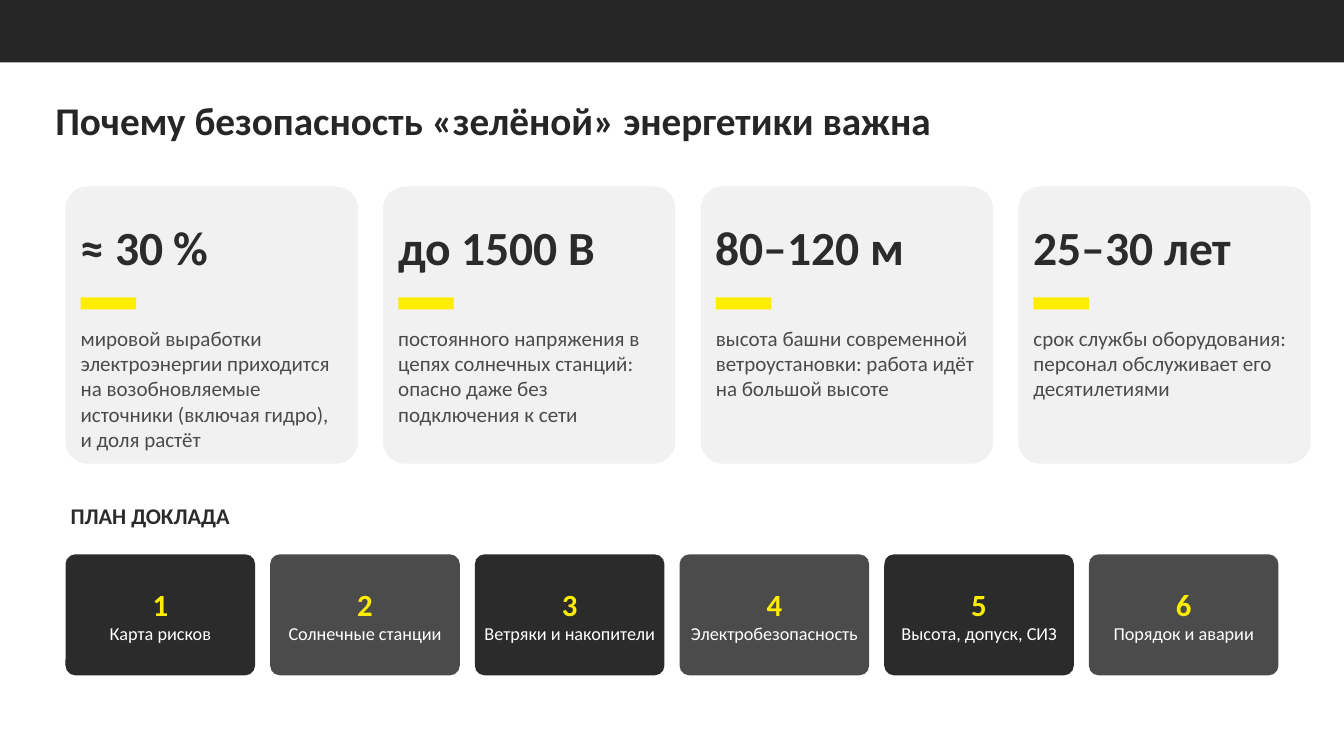
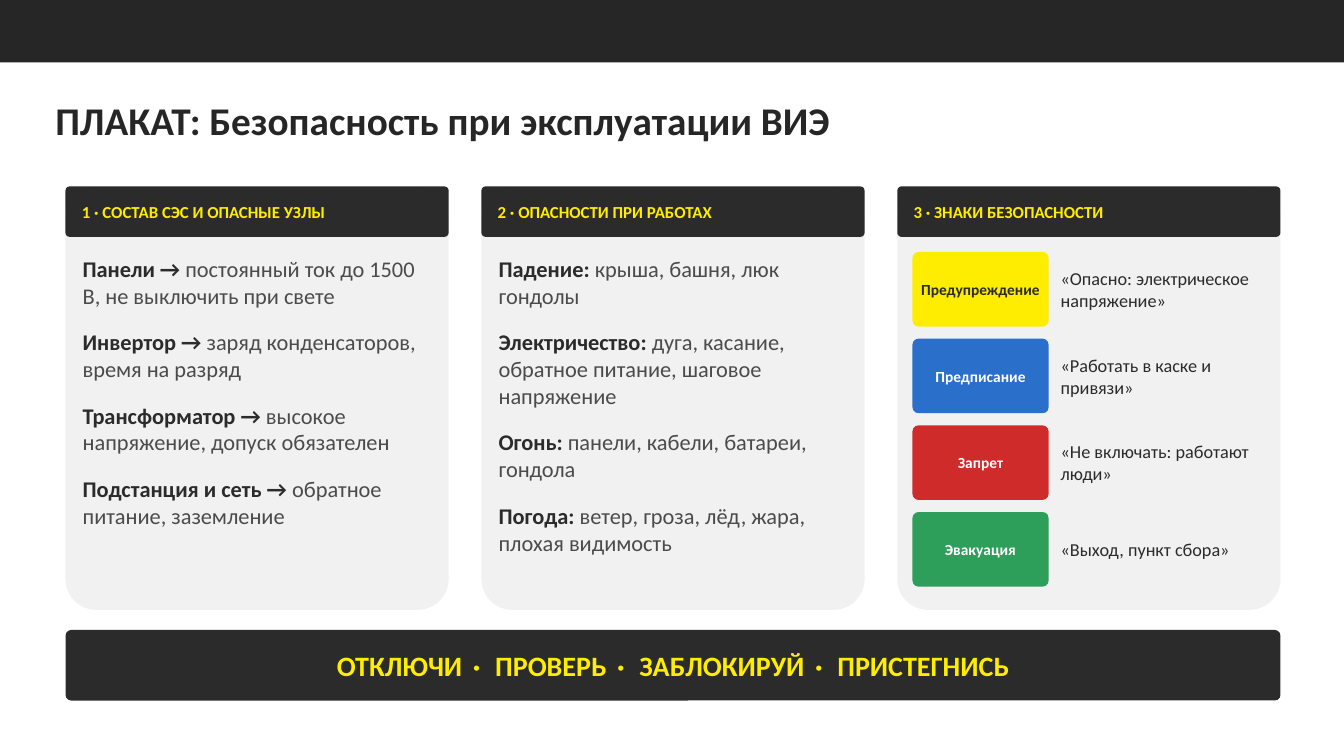
from collections.abc import Sequence
from dataclasses import dataclass

from pptx import Presentation
from pptx.dml.color import RGBColor
from pptx.enum.shapes import MSO_SHAPE
from pptx.enum.text import MSO_ANCHOR, PP_ALIGN
from pptx.presentation import Presentation as Deck
from pptx.shapes.autoshape import Shape
from pptx.slide import Slide
from pptx.util import Inches, Pt

FONT = "Calibri"
BAND = RGBColor(0x26, 0x26, 0x26)
DARK = RGBColor(0x2B, 0x2B, 0x2B)
GREY = RGBColor(0x4B, 0x4B, 0x4B)
PALE = RGBColor(0xF1, 0xF1, 0xF1)
WHITE = RGBColor(0xFF, 0xFF, 0xFF)
YELLOW = RGBColor(0xFF, 0xED, 0x00)
BLUE = RGBColor(0x2A, 0x6F, 0xC9)
RED = RGBColor(0xD0, 0x2B, 0x2B)
GREEN = RGBColor(0x2E, 0x9E, 0x5B)

SLIDE_WIDTH, SLIDE_HEIGHT = 13.33, 7.5
LEFT, TOP = 0.65, 1.85
CONTENT_WIDTH = 12.05
CENTERED = {"alignment": PP_ALIGN.CENTER}


@dataclass(frozen=True)
class Box:
    left: float
    top: float
    width: float
    height: float


@dataclass(frozen=True)
class Style:
    size: float
    color: RGBColor
    bold: bool = False


@dataclass(frozen=True)
class Span:
    text: str
    style: Style
    tracking: float = 0


@dataclass(frozen=True)
class Fact:
    figure: str
    meaning: str


@dataclass(frozen=True)
class Point:
    lead: str
    detail: str


@dataclass(frozen=True)
class Panel:
    heading: str
    points: tuple[Point, ...] = ()


@dataclass(frozen=True)
class Sign:
    kind: str
    message: str
    fill: RGBColor
    color: RGBColor = WHITE


TITLE = Style(28, BAND, True)
FIGURE = Style(34, DARK, True)
MEANING = Style(15, GREY)
SECTION = Style(16, DARK, True)
STEP_NUMBER = Style(22, YELLOW, True)
STEP_NAME = Style(13, WHITE)
PANEL_HEADING = Style(12, YELLOW, True)
POINT_LEAD = Style(16, DARK, True)
POINT_DETAIL = Style(16, GREY)
SIGN_MESSAGE = Style(13, DARK)
SLOGAN = Style(20, YELLOW, True)

FACTS = (
    Fact("≈ 30 %", "мировой выработки электроэнергии приходится на возобновляемые "
         "источники (включая гидро), и доля растёт"),
    Fact("до 1500 В", "постоянного напряжения в цепях солнечных станций: опасно даже "
         "без подключения к сети"),
    Fact("80–120 м", "высота башни современной ветроустановки: работа идёт "
         "на большой высоте"),
    Fact("25–30 лет", "срок службы оборудования: персонал обслуживает его десятилетиями"),
)
STEPS = ("Карта рисков", "Солнечные станции", "Ветряки и накопители",
         "Электробезопасность", "Высота, допуск, СИЗ", "Порядок и аварии")
PANELS = (
    Panel("1 · СОСТАВ СЭС И ОПАСНЫЕ УЗЛЫ", (
        Point("Панели → ", "постоянный ток до 1500 В, не выключить при свете"),
        Point("Инвертор → ", "заряд конденсаторов, время на разряд"),
        Point("Трансформатор → ", "высокое напряжение, допуск обязателен"),
        Point("Подстанция и сеть → ", "обратное питание, заземление"),
    )),
    Panel("2 · ОПАСНОСТИ ПРИ РАБОТАХ", (
        Point("Падение: ", "крыша, башня, люк гондолы"),
        Point("Электричество: ", "дуга, касание, обратное питание, шаговое напряжение"),
        Point("Огонь: ", "панели, кабели, батареи, гондола"),
        Point("Погода: ", "ветер, гроза, лёд, жара, плохая видимость"),
    )),
    Panel("3 · ЗНАКИ БЕЗОПАСНОСТИ"),
)
SIGNS = (
    Sign("Предупреждение", "«Опасно: электрическое напряжение»", YELLOW, DARK),
    Sign("Предписание", "«Работать в каске и привязи»", BLUE),
    Sign("Запрет", "«Не включать: работают люди»", RED),
    Sign("Эвакуация", "«Выход, пункт сбора»", GREEN),
)
COMMANDS = ("ОТКЛЮЧИ", "ПРОВЕРЬ", "ЗАБЛОКИРУЙ", "ПРИСТЕГНИСЬ")


def set_attributes(target: object, values: dict) -> None:
    for name, value in values.items():
        setattr(target, name, value)


def write(shape: Shape, lines: Sequence[Sequence[Span]], side: float, edge: float = 0.03,
          anchor: MSO_ANCHOR = MSO_ANCHOR.MIDDLE, layout: dict | None = None) -> None:
    """Fill a shape with one paragraph per line; side and edge are its insets."""
    frame = shape.text_frame
    set_attributes(frame, {
        "word_wrap": True, "vertical_anchor": anchor,
        "margin_left": Inches(side), "margin_right": Inches(side),
        "margin_top": Inches(edge), "margin_bottom": Inches(edge),
    })
    for index, line in enumerate(lines):
        paragraph = frame.add_paragraph() if index else frame.paragraphs[0]
        set_attributes(paragraph, {"alignment": PP_ALIGN.LEFT} | (layout or {}))
        for span in line:
            run = paragraph.add_run()
            run.text = span.text
            set_attributes(run.font, {"name": FONT, "size": Pt(span.style.size),
                                      "bold": span.style.bold})
            run.font.color.rgb = span.style.color
            if span.tracking:
                run.font._element.set("spc", str(round(span.tracking * 100)))


def inches(box: Box) -> tuple[Inches, ...]:
    return tuple(Inches(v) for v in (box.left, box.top, box.width, box.height))


def add_block(slide: Slide, box: Box, fill: RGBColor, rounded: bool = True) -> Shape:
    kind = MSO_SHAPE.ROUNDED_RECTANGLE if rounded else MSO_SHAPE.RECTANGLE
    block = slide.shapes.add_shape(kind, *inches(box))
    if rounded:
        block.adjustments[0] = 0.08
    block.shadow.inherit = False
    block.fill.solid()
    block.fill.fore_color.rgb = fill
    block.line.fill.background()
    return block


def add_label(slide: Slide, box: Box, lines: Sequence[Sequence[Span]],
              side: float = 0.05, **options) -> None:
    write(slide.shapes.add_textbox(*inches(box)), lines, side, **options)


def add_titled_slide(deck: Deck, title: str) -> Slide:
    slide = deck.slides.add_slide(deck.slide_layouts[6])
    add_label(slide, Box(0.45, 0.84, 11.5, 0.75), [[Span(title, TITLE)]],
              side=0.1, edge=0.05, layout={"line_spacing": 0.9})
    add_block(slide, Box(0, 0, SLIDE_WIDTH, 0.62), BAND, rounded=False)
    return slide


def add_fact(slide: Slide, left: float, fact: Fact) -> None:
    add_block(slide, Box(left, TOP, 2.9, 2.75), PALE)
    add_label(slide, Box(left + 0.1, 2, 2.7, 0.9), [[Span(fact.figure, FIGURE)]])
    add_block(slide, Box(left + 0.15, 2.95, 0.55, 0.12), YELLOW, rounded=False)
    add_label(slide, Box(left + 0.1, 3.2, 2.7, 1.3), [[Span(fact.meaning, MEANING)]],
              anchor=MSO_ANCHOR.TOP)


def add_step(slide: Slide, index: int, name: str) -> None:
    tile = add_block(slide, Box(LEFT + index * 2.03, 5.5, 1.88, 1.2),
                     GREY if index % 2 else DARK)
    lines = [[Span(str(index + 1), STEP_NUMBER)], [Span(name, STEP_NAME)]]
    write(tile, lines, 0.06, layout=CENTERED)


def add_panel(slide: Slide, left: float, width: float, panel: Panel) -> None:
    add_block(slide, Box(left, TOP, width, 4.2), PALE)
    header = add_block(slide, Box(left, TOP, width, 0.5), DARK)
    write(header, [[Span(panel.heading, PANEL_HEADING)]], 0.15)
    if panel.points:
        lines = [[Span(point.lead, POINT_LEAD), Span(point.detail, POINT_DETAIL)]
                 for point in panel.points]
        add_label(slide, Box(left + 0.15, 2.5, 3.5, 3.4), lines, side=0.02,
                  anchor=MSO_ANCHOR.TOP, layout={"space_after": Pt(14)})


def add_sign(slide: Slide, left: float, top: float, sign: Sign) -> None:
    plate = add_block(slide, Box(left, top, 1.35, 0.74), sign.fill)
    write(plate, [[Span(sign.kind, Style(11, sign.color, True))]], 0.04, layout=CENTERED)
    add_label(slide, Box(left + 1.45, top, 2.05, 0.74),
              [[Span(sign.message, SIGN_MESSAGE)]], side=0.02)


def add_slogan(slide: Slide) -> None:
    """Draw the bottom bar, its commands parted by widely tracked dots."""
    spans = [Span(COMMANDS[0], SLOGAN)]
    for command in COMMANDS[1:]:
        spans += [Span(" · ", SLOGAN, tracking=3), Span(command, SLOGAN)]
    bar = add_block(slide, Box(LEFT, 6.25, CONTENT_WIDTH, 0.7), DARK)
    write(bar, [spans], 0.12, layout=CENTERED)


def build_importance_slide(deck: Deck) -> None:
    slide = add_titled_slide(deck, "Почему безопасность «зелёной» энергетики важна")
    for index, fact in enumerate(FACTS):
        add_fact(slide, LEFT + index * 3.15, fact)
    add_label(slide, Box(LEFT, 4.95, 6, 0.4), [[Span("ПЛАН ДОКЛАДА", SECTION)]],
              anchor=MSO_ANCHOR.TOP)
    for index, name in enumerate(STEPS):
        add_step(slide, index, name)


def build_poster_slide(deck: Deck) -> None:
    slide = add_titled_slide(deck, "ПЛАКАТ: Безопасность при эксплуатации ВИЭ")
    panel_width = 3.8
    pitch = (CONTENT_WIDTH - panel_width) / (len(PANELS) - 1)
    for index, panel in enumerate(PANELS):
        add_panel(slide, LEFT + index * pitch, panel_width, panel)
    signs_left = LEFT + (len(PANELS) - 1) * pitch + 0.15
    for index, sign in enumerate(SIGNS):
        add_sign(slide, signs_left, 2.5 + index * 0.86, sign)
    add_slogan(slide)


def main() -> None:
    deck = Presentation()
    set_attributes(deck, {"slide_width": Inches(SLIDE_WIDTH),
                          "slide_height": Inches(SLIDE_HEIGHT)})
    build_importance_slide(deck)
    build_poster_slide(deck)
    deck.save("out.pptx")


if __name__ == "__main__":
    main()
